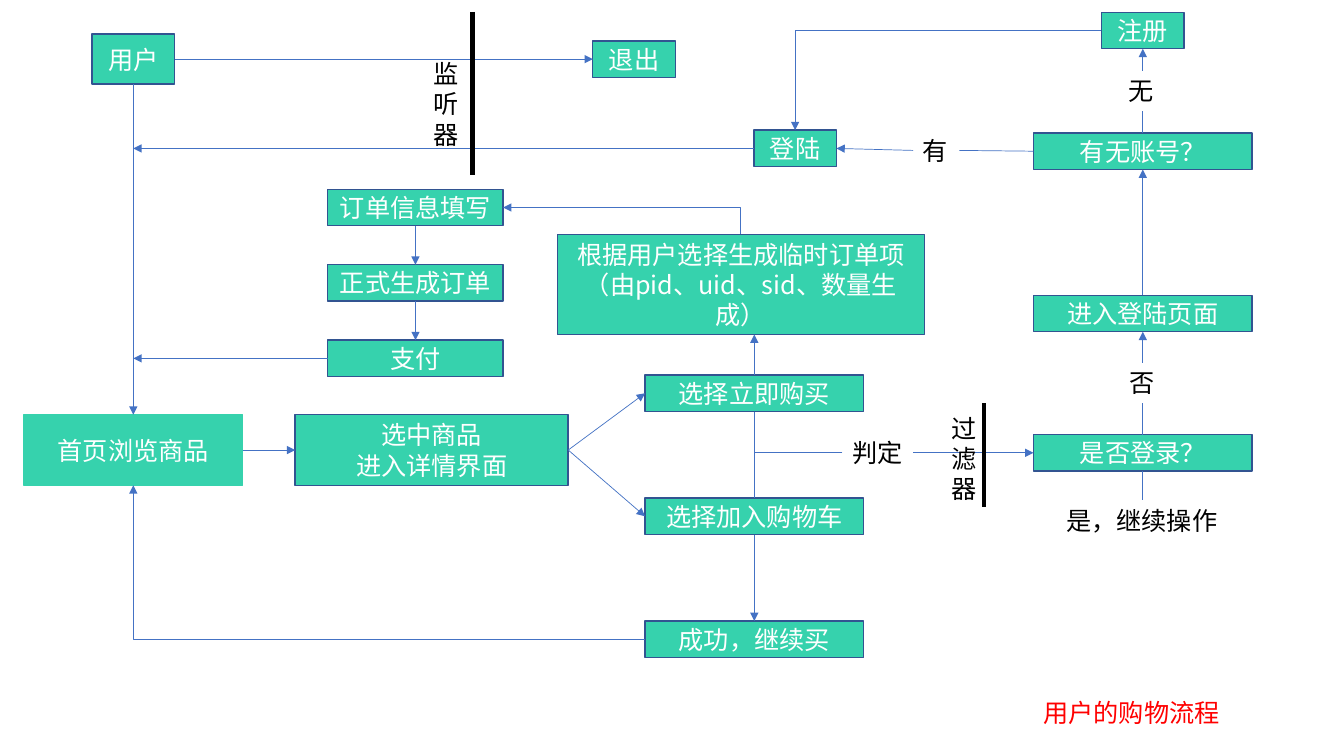
import pptx
import pptx.util
import pptx.dml.color
import pptx.enum.shapes
import pptx.enum.text
import pptx.oxml.ns
import lxml.etree

Cm = pptx.util.Cm
Pt = pptx.util.Pt
colour = pptx.dml.color.RGBColor.from_string
qn = pptx.oxml.ns.qn
ALIGN = pptx.enum.text.PP_ALIGN
ANCHOR = pptx.enum.text.MSO_ANCHOR
CONNECTOR = pptx.enum.shapes.MSO_CONNECTOR

FONT = "Noto Sans CJK SC"
GREEN, NAVY, BLUE = "36D2AD", "325491", "4472C4"
WHITE, BLACK, RED = "FFFFFF", "000000", "FF0000"

presentation = pptx.Presentation()
presentation.slide_width = Cm(33.87)
presentation.slide_height = Cm(19.05)
slide = presentation.slides.add_slide(presentation.slide_layouts[5])


def write_text(shape, text, text_colour, align, frame_format):
    text_frame = shape.text_frame
    text_frame.text = text
    for name, value in frame_format.items():
        setattr(text_frame, name, value)
    for paragraph in text_frame.paragraphs:
        paragraph.alignment = align
        for run in paragraph.runs:
            for name, value in {"name": FONT, "size": Pt(18), "bold": False}.items():
                setattr(run.font, name, value)
            run.font.color.rgb = colour(text_colour)
            east_asian = lxml.etree.SubElement(run.font._element, qn("a:ea"))
            east_asian.set("typeface", FONT)


def draw_line(kind, points, line_colour, width, arrow=None):
    connector = slide.shapes.add_connector(kind, *[Cm(value) for value in points])
    connector.line.color.rgb = colour(line_colour)
    connector.line.width = Pt(width)
    if arrow:
        lxml.etree.SubElement(connector.line._get_or_add_ln(), qn(arrow)).set("type", "triangle")
    properties = connector._element.spPr
    lxml.etree.SubElement(properties, qn("a:effectLst"))
    if kind == CONNECTOR.ELBOW:
        properties.find(qn("a:prstGeom")).set("prst", "bentConnector2")


# Title in the lower right corner
title = slide.shapes.title
title_format = {"left": Cm(26.04), "top": Cm(17.45), "width": Cm(5), "height": Cm(1.02)}
for name, value in title_format.items():
    setattr(title, name, value)
write_text(title, "用户的购物流程", RED, ALIGN.LEFT,
           {"word_wrap": False, "vertical_anchor": ANCHOR.TOP,
            "auto_size": pptx.enum.text.MSO_AUTO_SIZE.NONE})

# Column axes and box sizes
user_x, order_x, choice_x, login_x, account_x = 3.36, 10.47, 19.01, 20.04, 28.8
small, medium, wide, low = 2.08, 4.42, 5.51, 0.92
half = low / 2
order_rows = [5.23 + 1.9 * step for step in range(3)]

# Process boxes: text, centre x, centre y, width, height, outline
boxes = [
    ("用户", user_x, 1.49, small, 1.26, NAVY),
    ("首页浏览商品", user_x, 11.34, wide, 1.78, GREEN),
    ("选中商品\n进入详情界面", 10.88, 11.34, 6.88, 1.78, NAVY),
    ("退出", 15.98, 1.49, small, low, NAVY),
    ("登陆", login_x, 3.74, small, low, NAVY),
    ("注册", account_x, 0.77, small, low, NAVY),
    ("有无账号？", account_x, 3.81, wide, low, NAVY),
    ("进入登陆页面", account_x, 7.9, wide, low, NAVY),
    ("是否登录？", account_x, 11.41, wide, low, NAVY),
    ("选择立即购买", choice_x, 9.91, wide, low, NAVY),
    ("选择加入购物车", choice_x, 13.01, wide, low, NAVY),
    ("成功，继续买", choice_x, 16.11, wide, low, NAVY),
    ("根据用户选择生成临时订单项（由pid、uid、sid、数量生成）",
     18.67, 7.17, 9.25, 2.52, NAVY),
]
for text, row in zip(["订单信息填写", "正式生成订单", "支付"], order_rows):
    boxes.append((text, order_x, row, medium, low, NAVY))

for text, x, y, width, height, outline in boxes:
    shape = slide.shapes.add_shape(
        pptx.enum.shapes.MSO_SHAPE.RECTANGLE,
        Cm(x - width / 2), Cm(y - height / 2), Cm(width), Cm(height))
    shape.shadow.inherit = False
    shape.fill.solid()
    shape.fill.fore_color.rgb = colour(GREEN)
    shape.line.color.rgb = colour(outline)
    shape.line.width = Pt(1)
    write_text(shape, text, WHITE, ALIGN.CENTER,
               {"word_wrap": True, "vertical_anchor": ANCHOR.MIDDLE})

# Straight arrows
arrows = [
    (4.4, 1.49, 14.94, 1.49),
    (user_x, 2.12, user_x, 10.45),
    (login_x - small / 2, 3.74, user_x, 3.74),
    (order_x - medium / 2, order_rows[2], user_x, order_rows[2]),
    (6.12, 11.34, 7.44, 11.34),
    (14.32, 11.34, choice_x - wide / 2, 9.91),
    (14.32, 11.34, choice_x - wide / 2, 13.01),
    (choice_x, 9.91 - half, choice_x, 8.43),
    (choice_x, 13.01 + half, choice_x, 16.11 - half),
    (23.01, 11.41, account_x - wide / 2, 11.41),
    (account_x, 9.14, account_x, 7.9 + half),
    (account_x, 7.9 - half, account_x, 3.81 + half),
    (account_x, 1.78, account_x, 0.77 + half),
    (23.01, 3.79, login_x + small / 2, 3.74),
]
for upper, lower in zip(order_rows, order_rows[1:]):
    arrows.append((order_x, upper + half, order_x, lower - half))
for points in arrows:
    draw_line(CONNECTOR.STRAIGHT, points, BLUE, 0.5, "a:tailEnd")

# Plain links into the branch labels
links = [
    (account_x, 11.41 + half, account_x, 12.6),
    (account_x, 11.41 - half, account_x, 10.16),
    (account_x, 3.81 - half, account_x, 2.79),
    (account_x - wide / 2, 3.81, 24.18, 3.79),
    (choice_x, 9.91 + half, choice_x, 13.01 - half),
    (21.23, 11.41, choice_x, 11.41),
]
for points in links:
    draw_line(CONNECTOR.STRAIGHT, points, BLUE, 0.5)

# Elbow arrows
draw_line(CONNECTOR.ELBOW, (account_x - small / 2, 0.77, login_x, 3.74 - half),
          BLUE, 0.5, "a:tailEnd")
draw_line(CONNECTOR.ELBOW, (choice_x - wide / 2, 16.11, user_x, 12.23),
          BLUE, 0.5, "a:tailEnd")
draw_line(CONNECTOR.ELBOW, (order_x + medium / 2, order_rows[0], 18.67, 5.91),
          BLUE, 0.5, "a:headEnd")

# Listener and filter bars
for x, top, bottom in [(11.91, 0.3, 4.42), (24.79, 10.16, 12.78)]:
    draw_line(CONNECTOR.STRAIGHT, (x, top, x, bottom), BLACK, 3)

# Labels: text, left, top, width, height, side margin
labels = [
    ("是，继续操作", 26.62, 12.6, 4.4, 1.02, 0.25),
    ("否", 28.22, 9.14, 1.15, 1.02, 0.25),
    ("无", 28.2, 1.78, 1.15, 1.02, 0.25),
    ("有", 23.01, 3.28, 1.15, 1.02, 0.25),
    ("判定", 21.23, 10.9, 1.82, 1.02, 0.25),
    ("过滤器", 23.98, 10.29, 0.66, 2.57, 0),
    ("监听器", 10.92, 1.35, 0.66, 2.57, 0),
]
for text, left, top, width, height, margin in labels:
    label = slide.shapes.add_textbox(Cm(left), Cm(top), Cm(width), Cm(height))
    write_text(label, text, BLACK, ALIGN.LEFT,
               {"word_wrap": True, "margin_left": Cm(margin), "margin_right": Cm(margin)})

presentation.save("out.pptx")
